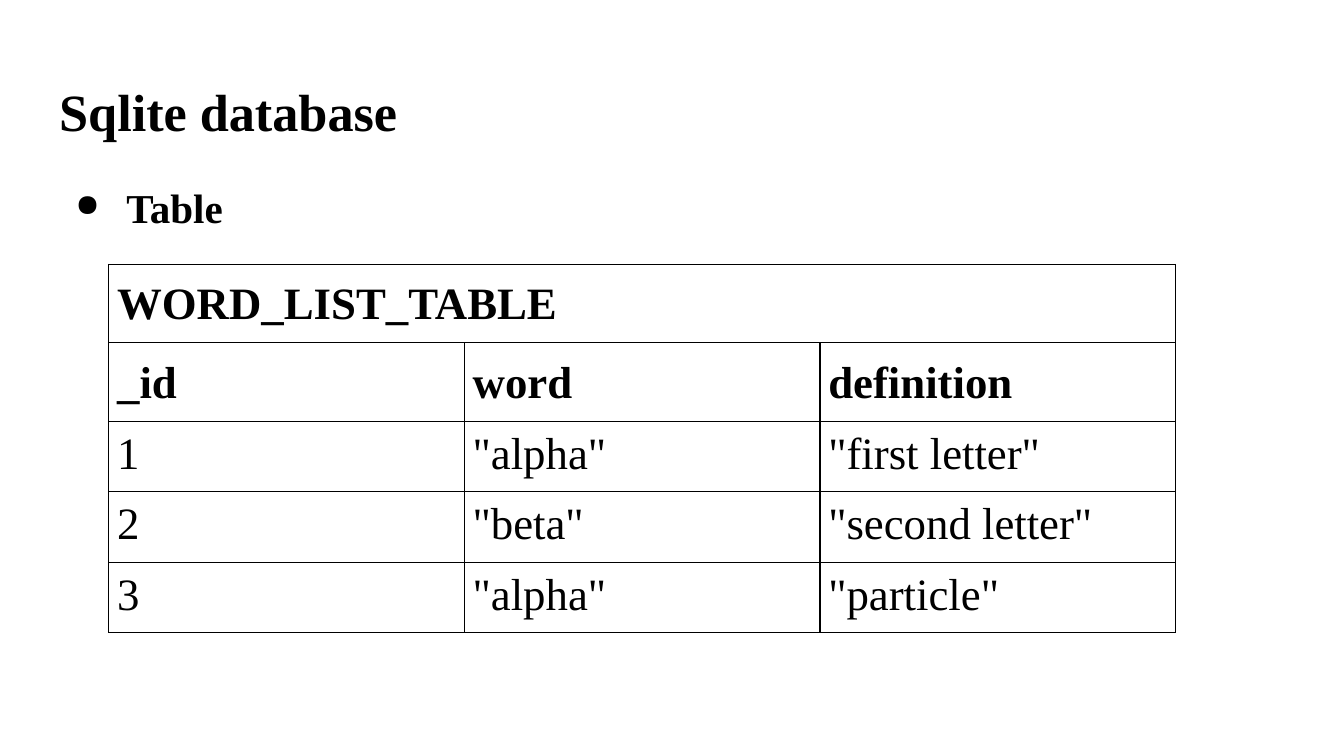
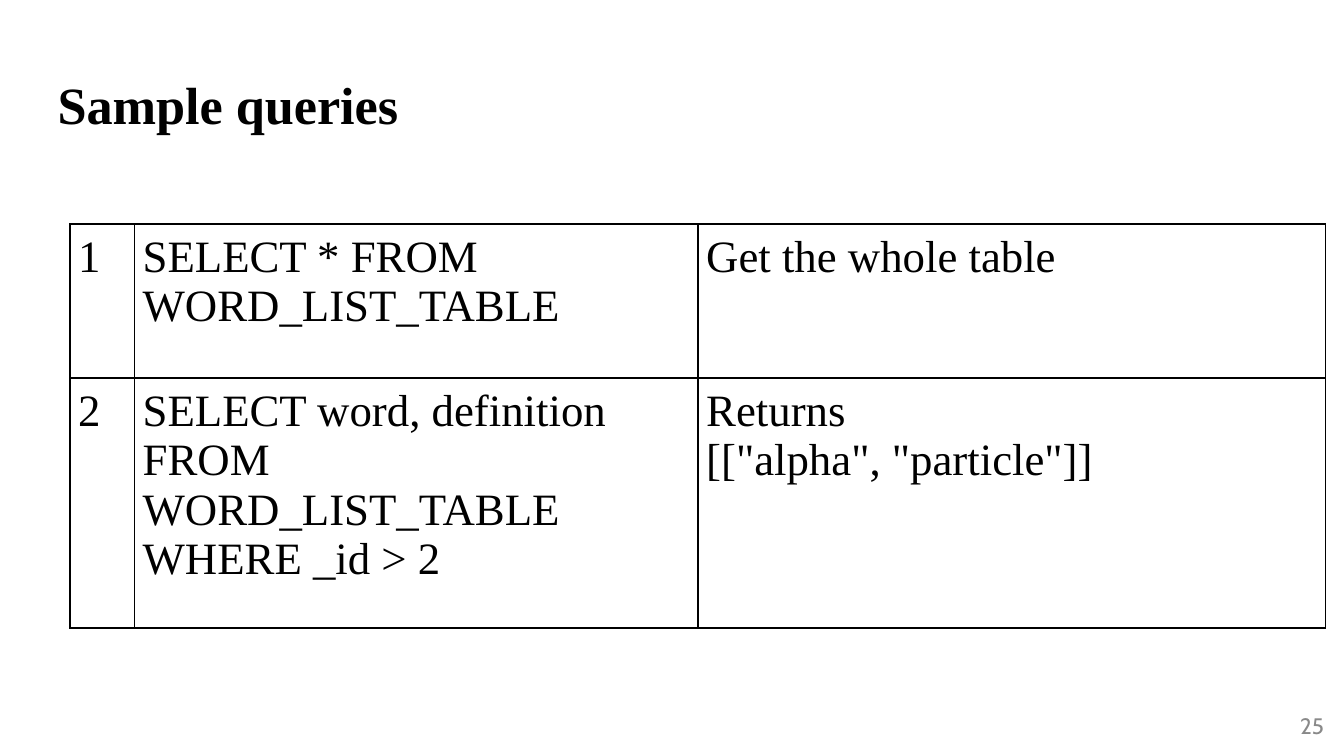
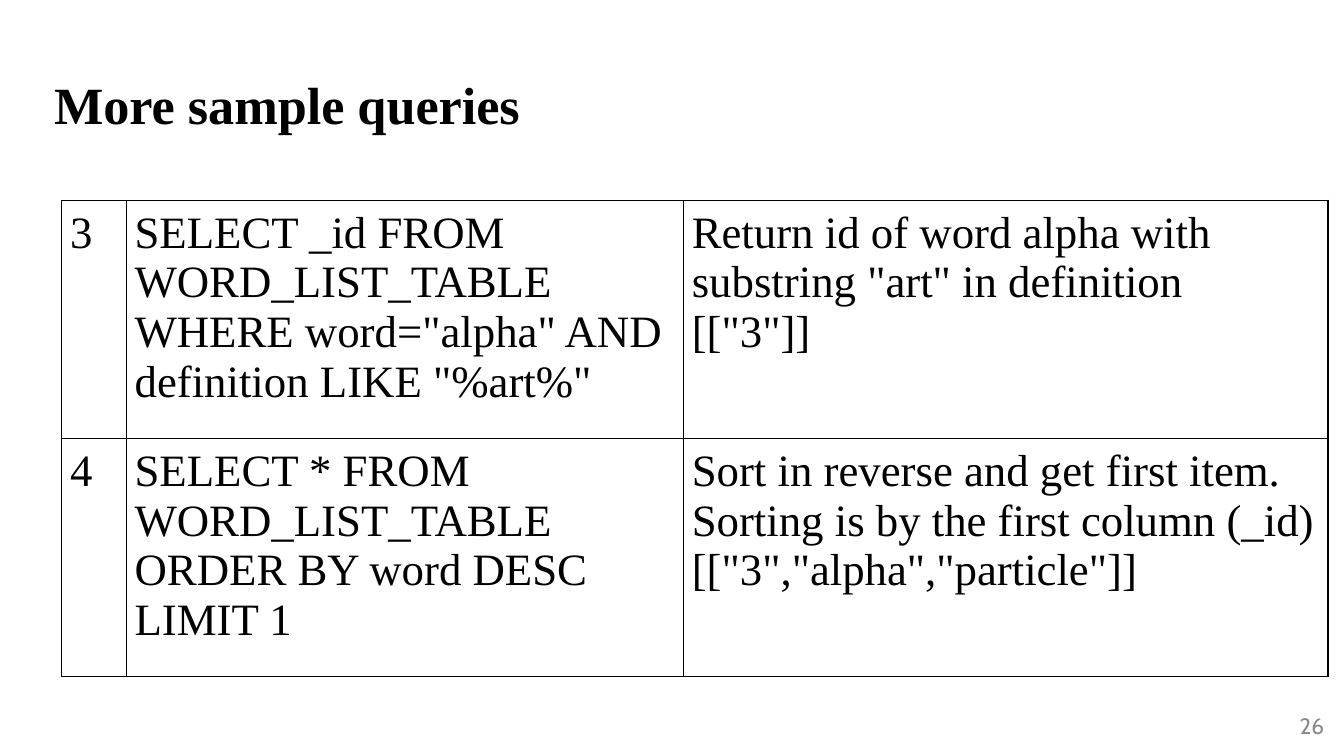
from dataclasses import dataclass
from typing import Any

from lxml import etree
from pptx import Presentation
from pptx import util as u
from pptx.dml.color import RGBColor
from pptx.enum import text
from pptx.oxml import ns

UNIT = u.Inches(0.1)
COLUMNS, ROWS = 100, 56.25
BLACK, GREY, WHITE = "000000", "898989", "FFFFFF"
SERIF, SANS = "Times New Roman", "Cabin"
BORDER = u.Pt(0.75)
TEXT_INSET, CELL_INSET = 1, 0.62
SIDES = ("margin_left", "margin_top", "margin_right", "margin_bottom")

TITLE = {"name": SERIF, "size": u.Pt(28), "bold": True}
BULLET = {"name": SERIF, "size": u.Pt(22), "bold": True}
NUMBER = {"name": SANS, "size": u.Pt(12), "bold": False}
BODY = {"name": SERIF, "size": u.Pt(24), "bold": False}
HEADER = BODY | {"bold": True}
HEADER_SPACING = {"line_spacing": 1.15, "space_before": u.Pt(5), "space_after": u.Pt(2)}


@dataclass
class Box:
    left: float
    top: float
    width: float
    height: float


@dataclass
class Grid:
    left: float
    top: float
    columns: list[float]
    rows: list[float]
    cells: list[list[str]]
    headers: int = 0


@dataclass
class Page:
    title: str
    left: float
    top: float
    grid: Grid
    bullet: str = ""
    number: str = ""


PAGES = [
    Page(
        "Sqlite database", 3.42, 4.9,
        Grid(8.1, 19.67, [26.46] * 3, [5.65] * 2 + [5.08] * 3, [
            ["WORD_LIST_TABLE"],
            ["_id", "word", "definition"],
            ["1", '"alpha"', '"first letter"'],
            ["2", '"beta"', '"second letter"'],
            ["3", '"alpha"', '"particle"'],
        ], headers=2),
        bullet="Table",
    ),
    Page(
        "Sample queries", 3.3, 4.4,
        Grid(5.2, 16.67, [4.8, 41.93, 46.7], [11.46, 18.6], [
            ["1", "SELECT * FROM WORD_LIST_TABLE", "Get the whole table"],
            ["2", "SELECT word, definition FROM WORD_LIST_TABLE WHERE _id > 2",
             'Returns\n[["alpha", "particle"]]'],
        ]),
        number="25",
    ),
    Page(
        "More sample queries", 3.04, 4.4,
        Grid(4.6, 14.9, [4.8, 41.46, 47.95], [17.72] * 2, [
            ["3", 'SELECT _id FROM WORD_LIST_TABLE WHERE word="alpha" '
                  'AND definition LIKE "%art%"',
             'Return id of word alpha with substring "art" in definition\n[["3"]]'],
            ["4", "SELECT * FROM WORD_LIST_TABLE ORDER BY word DESC LIMIT 1",
             "Sort in reverse and get first item. Sorting is by the first column (_id)\n"
             '[["3","alpha","particle"]]'],
        ]),
        number="26",
    ),
]


def units(n: float) -> int:
    return round(n * UNIT)


def color(value: str) -> RGBColor:
    return RGBColor.from_string(value)


def set_format(target: Any, values: dict[str, Any]) -> None:
    for name, value in values.items():
        setattr(target, name, value)


def write(tf: Any, content: str, font: dict[str, Any], ink: str = BLACK) -> None:
    for i, line in enumerate(content.split("\n")):
        p = tf.paragraphs[0] if i == 0 else tf.add_paragraph()
        r = p.add_run()
        r.text = line
        set_format(r.font, font)
        r.font.color.rgb = color(ink)


def add_text(s: Any, box: Box, content: str, font: dict[str, Any],
             ink: str = BLACK, **frame: Any) -> Any:
    sp = s.shapes.add_textbox(*map(units, (box.left, box.top, box.width, box.height)))
    tf = sp.text_frame
    set_format(tf, {"word_wrap": True} | dict.fromkeys(SIDES, units(TEXT_INSET)) | frame)
    write(tf, content, font, ink)
    return tf.paragraphs[0]


def add_bullet(p: Any) -> None:
    pPr = p._p.get_or_add_pPr()
    pPr.set("marL", str(units(5)))
    pPr.set("indent", str(units(-3.8)))
    etree.SubElement(pPr, ns.qn("a:buSzPct")).set("val", "75000")
    etree.SubElement(pPr, ns.qn("a:buChar")).set("char", "●")


def add_borders(cell: Any) -> None:
    tcPr = cell._tc.get_or_add_tcPr()
    for i, side in enumerate("LRTB"):
        ln = etree.Element(ns.qn(f"a:ln{side}"), w=str(BORDER))
        fill = etree.SubElement(ln, ns.qn("a:solidFill"))
        etree.SubElement(fill, ns.qn("a:srgbClr")).set("val", BLACK)
        tcPr.insert(i, ln)


def add_grid(s: Any, grid: Grid) -> None:
    frame = s.shapes.add_table(
        len(grid.rows), len(grid.columns), units(grid.left), units(grid.top),
        units(sum(grid.columns)), units(sum(grid.rows)))
    table = frame.table
    set_format(table, {"first_row": False, "horz_banding": False})
    for column, width in zip(table.columns, grid.columns):
        column.width = units(width)
    for row, height in zip(table.rows, grid.rows):
        row.height = units(height)
    for cell in table.iter_cells():
        set_format(cell, dict.fromkeys(SIDES, units(CELL_INSET)))
        cell.fill.background()
        add_borders(cell)
    for i, line in enumerate(grid.cells):
        is_header = i < grid.headers
        if len(line) == 1:
            table.cell(i, 0).merge(table.cell(i, len(grid.columns) - 1))
        for j, content in enumerate(line):
            tf = table.cell(i, j).text_frame
            write(tf, content, HEADER if is_header else BODY)
            if is_header:
                set_format(tf.paragraphs[0], HEADER_SPACING)


def add_page(prs: Any, page: Page) -> None:
    s = prs.slides.add_slide(prs.slide_layouts[6])
    s.background.fill.solid()
    s.background.fill.fore_color.rgb = color(WHITE)
    add_text(s, Box(page.left, page.top, 93.2, 6.3), page.title, TITLE)
    if page.bullet:
        add_bullet(add_text(s, Box(page.left, 12.6, 93.2, 37.4), page.bullet, BULLET))
    if page.number:
        p = add_text(s, Box(93.5, 51.83, 6, 4.3), page.number, NUMBER, GREY,
                     vertical_anchor=text.MSO_ANCHOR.MIDDLE)
        p.alignment = text.PP_ALIGN.RIGHT
    add_grid(s, page.grid)


def main() -> None:
    prs = Presentation()
    set_format(prs, {"slide_width": units(COLUMNS), "slide_height": units(ROWS)})
    for page in PAGES:
        add_page(prs, page)
    prs.save("out.pptx")


if __name__ == "__main__":
    main()
